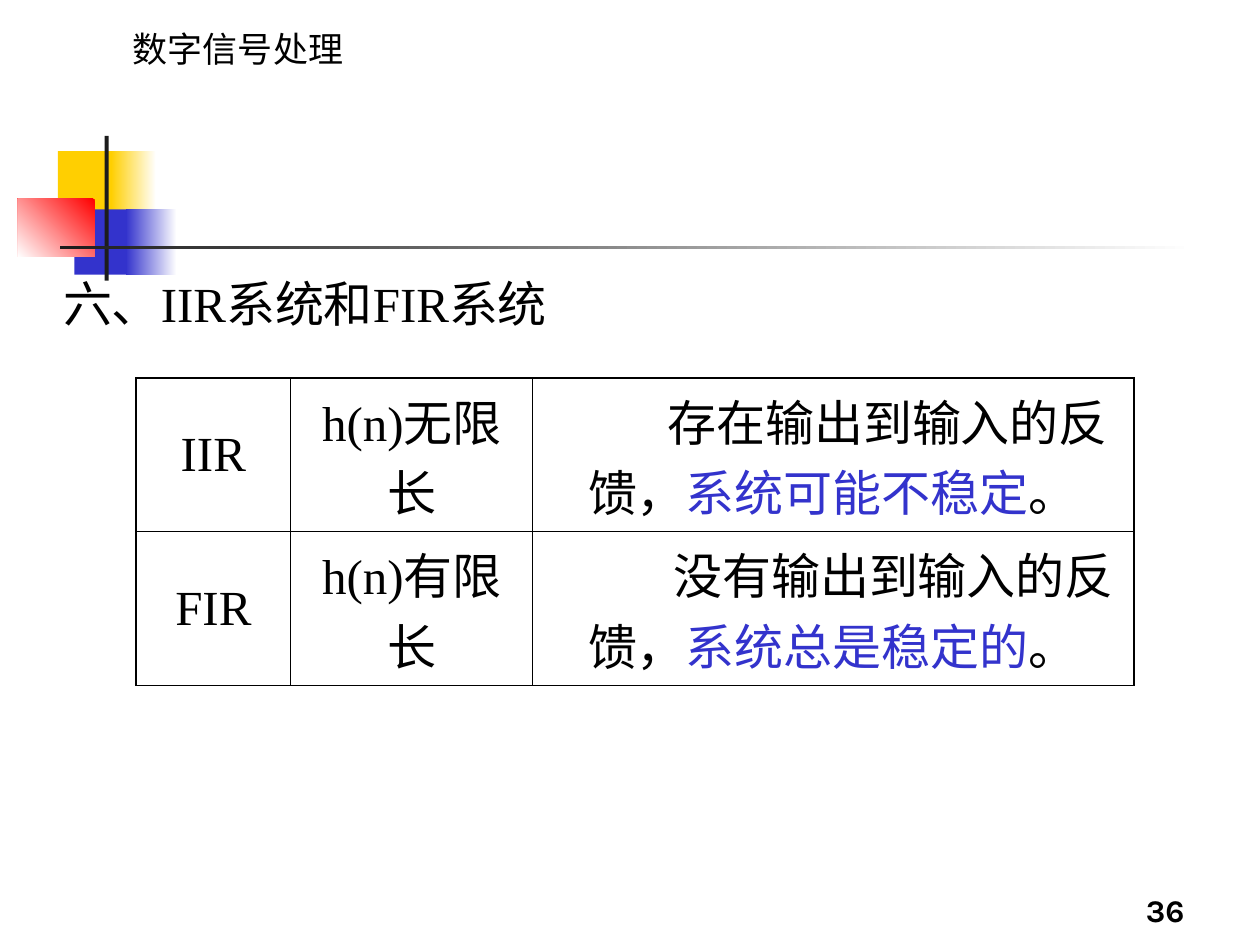
import pptx
import pptx.util
import pptx.dml.color
import pptx.enum.shapes
import pptx.enum.text
import pptx.oxml.ns
from lxml import etree

Cm = pptx.util.Cm
Pt = pptx.util.Pt
RGBColor = pptx.dml.color.RGBColor
ALIGN = pptx.enum.text.PP_ALIGN
ANCHOR = pptx.enum.text.MSO_ANCHOR
qn = pptx.oxml.ns.qn

BLACK = RGBColor(0x00, 0x00, 0x00)
WHITE = RGBColor(0xFF, 0xFF, 0xFF)
YELLOW = RGBColor(0xFF, 0xCF, 0x01)
BLUE = RGBColor(0x33, 0x33, 0xCC)
RED = RGBColor(0xFF, 0x00, 0x00)
CHARCOAL = RGBColor(0x1C, 0x1C, 0x1C)
SERIF, SANS = "Times New Roman", "Karla"
THIN, THICK = 0.45, 1.08


def write_text(paragraph, text, size=28, font=SERIF, color=BLACK, bold=False,
               align=ALIGN.LEFT, margin=0, indent=0):
    """Add a run to the paragraph and format both; margin and indent are in cm."""
    properties = paragraph._p.get_or_add_pPr()
    properties.set("marL", str(Cm(margin)))
    properties.set("indent", str(Cm(indent)))
    if properties.find(qn("a:buNone")) is None:
        etree.SubElement(properties, qn("a:buNone"))
    paragraph.alignment = align
    paragraph.space_before = Pt(0)
    run = paragraph.add_run()
    run.text = text
    run.font.size = Pt(size)
    run.font.name = font
    run.font.bold = bold
    run.font.color.rgb = color


def add_label(slide, text, left, top, width, height, anchor=ANCHOR.TOP, **text_format):
    box = slide.shapes.add_textbox(Cm(left), Cm(top), Cm(width), Cm(height))
    box.text_frame.word_wrap = True
    box.text_frame.vertical_anchor = anchor
    write_text(box.text_frame.paragraphs[0], text, font=SANS, **text_format)


def add_block(slide, left, top, width, height, colors, angle=180):
    """Add a borderless rectangle filled with one colour or a two-colour fade."""
    shape = slide.shapes.add_shape(pptx.enum.shapes.MSO_SHAPE.RECTANGLE,
                                   Cm(left), Cm(top), Cm(width), Cm(height))
    shape.shadow.inherit = False
    shape.line.fill.background()
    if len(colors) == 1:
        shape.fill.solid()
        shape.fill.fore_color.rgb = colors[0]
    else:
        shape.fill.gradient()
        shape.fill.gradient_angle = angle
        for stop, color in zip(shape.fill.gradient_stops, colors):
            stop.color.rgb = color


def add_ornament(slide, left, top):
    # Yellow and blue squares, each fading out to the right
    add_block(slide, left + 0.81, top + 0.31, 1.22, 1.32, [YELLOW])
    add_block(slide, left + 1.88, top + 0.31, 0.91, 1.32, [WHITE, YELLOW])
    add_block(slide, left + 1.14, top + 1.48, 1.17, 1.32, [BLUE])
    add_block(slide, left + 2.18, top + 1.48, 1.02, 1.32, [WHITE, BLUE])
    # Red square fading to the lower left
    add_block(slide, left, top + 1.27, 1.55, 1.17, [RED, WHITE], angle=225)
    # Crossing rules
    add_block(slide, left + 1.75, top, 0.08, 2.92, [CHARCOAL])
    add_block(slide, left + 0.86, top + 2.21, 22.86, 0.08, [WHITE, CHARCOAL])


def place_heading(slide, text, left, top, width, height):
    body = slide.placeholders[1]
    body.left, body.top, body.width, body.height = Cm(left), Cm(top), Cm(width), Cm(height)
    frame = body.text_frame
    frame.auto_size = pptx.enum.text.MSO_AUTO_SIZE.NONE
    frame.margin_left = frame.margin_right = frame.margin_top = frame.margin_bottom = 0
    frame.vertical_anchor = ANCHOR.TOP
    write_text(frame.paragraphs[0], text, margin=0.97, indent=-0.97)


def set_borders(cell, **widths):
    properties = cell._tc.get_or_add_tcPr()
    for position, side in enumerate(("L", "R", "T", "B")):
        line = etree.Element(qn("a:ln" + side), w=str(Pt(widths[side])))
        fill = etree.SubElement(line, qn("a:solidFill"))
        etree.SubElement(fill, qn("a:srgbClr"), val=str(BLACK))
        properties.insert(position, line)


def add_comparison(slide, rows, left, top, column_widths, row_height):
    """Rows hold name, response, feedback, stability and first-line indent in cm."""
    last_row, last_column = len(rows) - 1, len(column_widths) - 1
    frame = slide.shapes.add_table(len(rows), len(column_widths), Cm(left), Cm(top),
                                   Cm(sum(column_widths)), Cm(row_height * len(rows)))
    table = frame.table
    table.first_row = table.horz_banding = False
    for column, width in zip(table.columns, column_widths):
        column.width = Cm(width)

    for row_index, (name, response, feedback, stability, indent) in enumerate(rows):
        table.rows[row_index].height = Cm(row_height)
        cells = [table.cell(row_index, index) for index in range(len(column_widths))]
        for column_index, cell in enumerate(cells):
            cell.fill.background()
            cell.vertical_anchor = ANCHOR.MIDDLE
            set_borders(cell,
                        L=THICK if column_index == 0 else THIN,
                        R=THICK if column_index == last_column else THIN,
                        T=THICK if row_index == 0 else THIN,
                        B=THICK if row_index == last_row else THIN)
        # System name and impulse response
        for cell, text in zip(cells, (name, response)):
            write_text(cell.text_frame.paragraphs[0], text, align=ALIGN.CENTER)
        # Feedback, with the stability verdict highlighted
        paragraph = cells[-1].text_frame.paragraphs[0]
        for text, color in ((feedback, BLACK), (stability, BLUE), ("。", BLACK)):
            write_text(paragraph, text, color=color, margin=0.86, indent=indent)


def main():
    presentation = pptx.Presentation()
    presentation.slide_width, presentation.slide_height = Cm(25.4), Cm(19.05)
    slide = presentation.slides.add_slide(presentation.slide_layouts[1])
    title = slide.shapes.title._element
    title.getparent().remove(title)

    add_ornament(slide, 0.36, 2.74)
    add_label(slide, "数字信号处理", 1.5, 0.43, 6.6, 1.12, size=20, align=ALIGN.CENTER)
    place_heading(slide, "六、IIR系统和FIR系统", 1.27, 5.51, 23.29, 12.06)
    add_comparison(slide, [
        ("IIR", "h(n)无限长", "存在输出到输入的反馈，", "系统可能不稳定", 1.6),
        ("FIR", "h(n)有限长", "没有输出到输入的反馈，", "系统总是稳定的", 1.72),
    ], 2.74, 7.62, [3.12, 4.88, 12.12], 3.1)
    add_label(slide, "36", 18.85, 17.58, 5.28, 1.27, anchor=ANCHOR.BOTTOM,
              size=18, bold=True, align=ALIGN.RIGHT)

    presentation.save("out.pptx")


if __name__ == "__main__":
    main()
